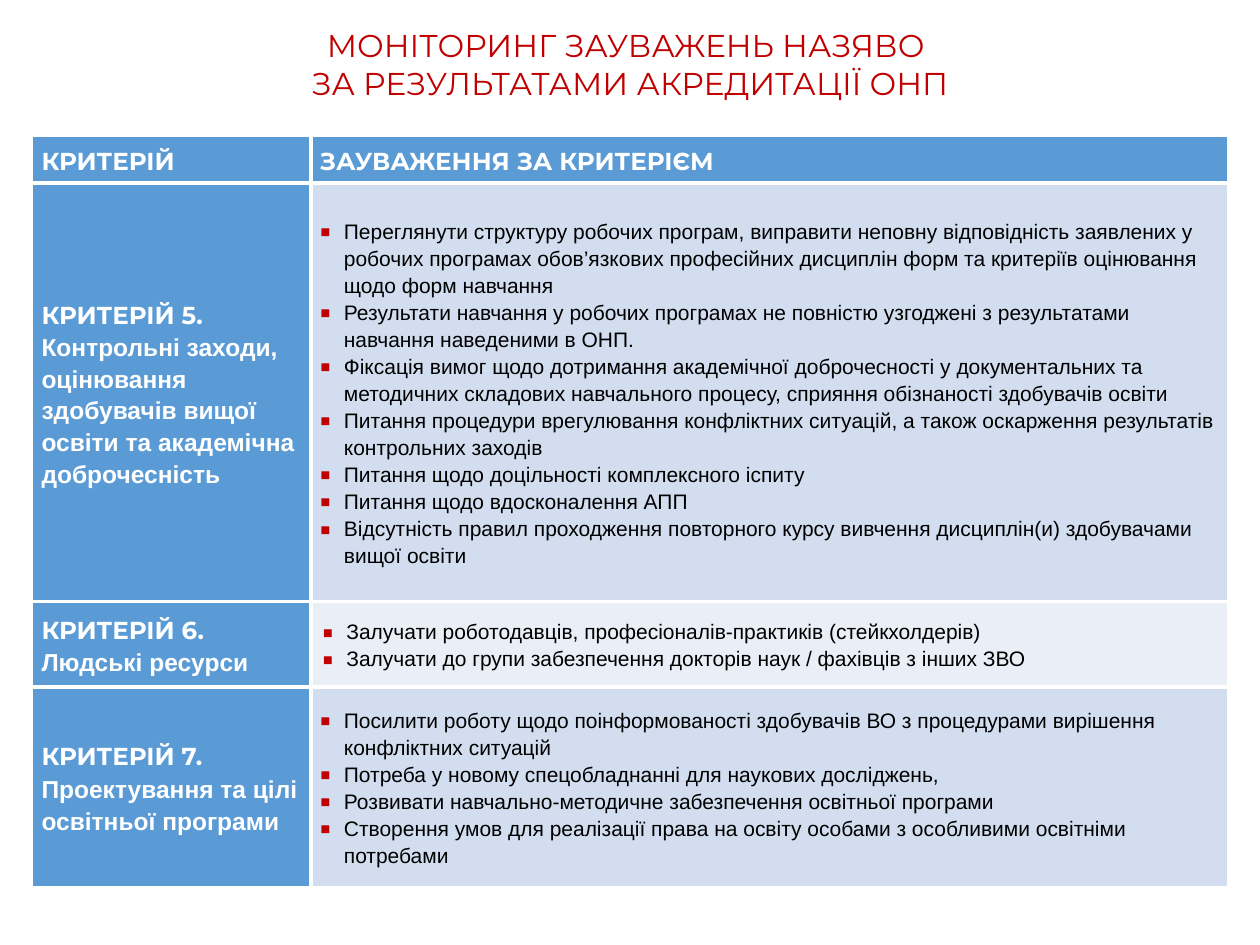
from lxml.etree import SubElement
from pptx import Presentation
from pptx.dml.color import RGBColor
from pptx.enum.text import MSO_ANCHOR, MSO_AUTO_SIZE, PP_ALIGN
from pptx.oxml.ns import qn
from pptx.util import Inches, Pt

RED = RGBColor(0xC0, 0x00, 0x00)
WHITE = RGBColor(0xFF, 0xFF, 0xFF)
BLACK = RGBColor(0x00, 0x00, 0x00)
BLUE = RGBColor(0x5B, 0x9B, 0xD5)
PALE = RGBColor(0xD2, 0xDE, 0xEF)
LIGHT = RGBColor(0xEA, 0xEF, 0xF7)

HEAD = "Montserrat"
BODY = "Arial"

TITLE = ["МОНІТОРИНГ ЗАУВАЖЕНЬ НАЗЯВО ", "ЗА РЕЗУЛЬТАТАМИ АКРЕДИТАЦІЇ ОНП"]

ROWS = [
    (0.32, [[("КРИТЕРІЙ", HEAD)]], ["ЗАУВАЖЕННЯ ЗА КРИТЕРІЄМ"], BLUE, 0),
    (3.32, [[("КРИТЕРІЙ 5. ", HEAD),
             ("Контрольні заходи, оцінювання здобувачів вищої освіти та академічна доброчесність", BODY)]],
     ["Переглянути структуру робочих програм, виправити неповну відповідність заявлених у робочих програмах "
      "обов’язкових професійних дисциплін форм та критеріїв оцінювання щодо форм навчання",
      "Результати навчання у робочих програмах не повністю узгоджені з результатами навчання наведеними в ОНП.",
      "Фіксація вимог щодо дотримання академічної доброчесності у документальних та методичних складових "
      "навчального процесу, сприяння обізнаності здобувачів освіти",
      "Питання процедури врегулювання конфліктних ситуацій, а також оскарження результатів контрольних заходів",
      "Питання щодо доцільності комплексного іспиту",
      "Питання щодо вдосконалення АПП",
      "Відсутність правил проходження повторного курсу вивчення дисциплін(и) здобувачами вищої освіти"],
     PALE, 0.19),
    (0.68, [[("КРИТЕРІЙ 6.", HEAD)], [("Людські ресурси", BODY)]],
     ["Залучати роботодавців, професіоналів-практиків (стейкхолдерів)",
      "Залучати до групи забезпечення докторів наук / фахівців з інших ЗВО"],
     LIGHT, 0.21),
    (1.58, [[("КРИТЕРІЙ 7. ", HEAD), ("Проектування та цілі освітньої програми", BODY)]],
     ["Посилити роботу щодо поінформованості здобувачів ВО з процедурами вирішення конфліктних ситуацій",
      "Потреба у новому спецобладнанні для наукових досліджень,",
      "Розвивати навчально-методичне забезпечення освітньої програми",
      "Створення умов для реалізації права на освіту особами з особливими освітніми потребами"],
     PALE, 0.19),
]


def write(para, text, font, size, color, bold):
    run = para.add_run()
    run.text = text
    run.font.name = font
    run.font.size = Pt(size)
    run.font.color.rgb = color
    run.font.bold = bold


def bullet(para, left):
    props = para._p.get_or_add_pPr()
    props.set("marL", str(Inches(left)))
    props.set("indent", str(Inches(-0.19)))
    tint = SubElement(props, qn("a:buClr"))
    SubElement(tint, qn("a:srgbClr"), val=str(RED))
    SubElement(props, qn("a:buSzPct"), val="150000")
    SubElement(props, qn("a:buFont"), typeface=BODY)
    SubElement(props, qn("a:buChar"), char="▪")


prs = Presentation()
prs.slide_width = Inches(10)
prs.slide_height = Inches(7.5)
slide = prs.slides.add_slide(prs.slide_layouts[5])

title = slide.shapes.title
title.left, title.top = Inches(0.26), Inches(0.16)
title.width, title.height = Inches(9.48), Inches(0.7)
frame = title.text_frame
frame.word_wrap = True
frame.auto_size = MSO_AUTO_SIZE.NONE
frame.vertical_anchor = MSO_ANCHOR.TOP
for i, line in enumerate(TITLE):
    para = frame.add_paragraph() if i else frame.paragraphs[0]
    para.alignment = PP_ALIGN.CENTER
    write(para, line, HEAD, 18, RED, False)

table = slide.shapes.add_table(
    len(ROWS), 2, Inches(0.26), Inches(1.08), Inches(9.48), Inches(5.9)).table
table.columns[0].width = Inches(2.21)
table.columns[1].width = Inches(7.27)

last = len(ROWS) - 1
for r, (height, label, notes, fill, left) in enumerate(ROWS):
    table.rows[r].height = Inches(height)
    note_font, size, color = (BODY, 12, BLACK) if r else (HEAD, 14, WHITE)
    remarks = [[(note, note_font)] for note in notes]
    for c, paras in enumerate((label, remarks)):
        cell = table.cell(r, c)
        cell.margin_left = cell.margin_right = Inches(0.07)
        cell.margin_top = cell.margin_bottom = Inches(0.05)
        cell.vertical_anchor = MSO_ANCHOR.MIDDLE if r else MSO_ANCHOR.TOP
        edges = {"a:lnL": c == 0, "a:lnR": c == 1, "a:lnT": r == 0, "a:lnB": r == last}
        for tag, outer in edges.items():
            edge = SubElement(cell._tc.get_or_add_tcPr(), qn(tag), w=str(Pt(0.45 if outer else 2.21)))
            paint = SubElement(edge, qn("a:solidFill"))
            SubElement(paint, qn("a:srgbClr"), val=str(WHITE))
        cell.fill.solid()
        cell.fill.fore_color.rgb = fill if c else BLUE
        for i, runs in enumerate(paras):
            para = cell.text_frame.add_paragraph() if i else cell.text_frame.paragraphs[0]
            if c and r:
                bullet(para, left)
            para.line_spacing = 1.15
            for text, font in runs:
                if c:
                    write(para, text, font, size, color, r == 0)
                else:
                    write(para, text, font, 14, WHITE, True)

prs.save("out.pptx")
